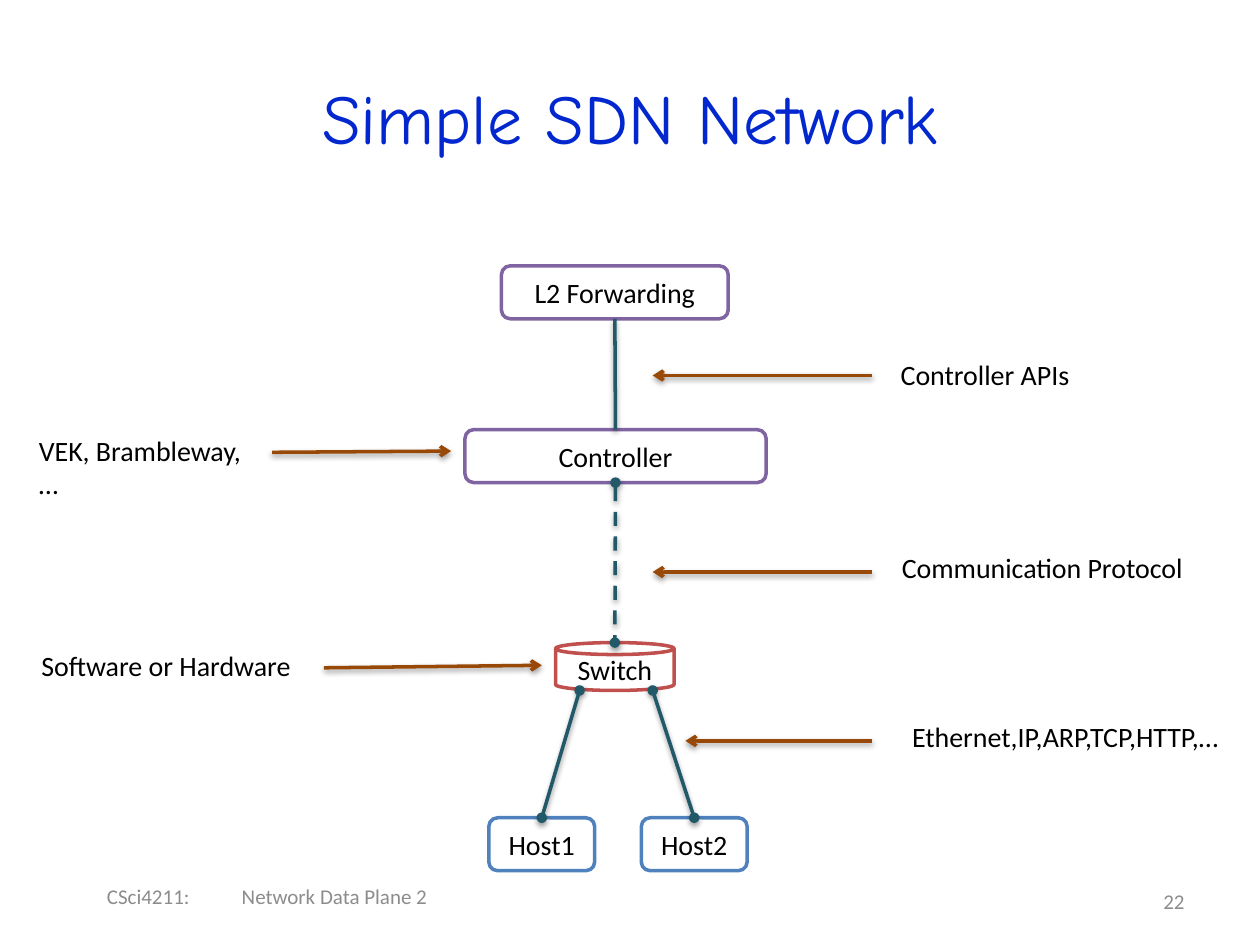
"""Build the simple SDN network slide."""
from typing import NamedTuple, Optional

from lxml import etree
from pptx import Presentation
from pptx.dml.color import RGBColor
from pptx.enum.dml import MSO_LINE
from pptx.enum.shapes import MSO_CONNECTOR, MSO_SHAPE
from pptx.enum.text import MSO_ANCHOR, PP_ALIGN
from pptx.oxml import parse_xml
from pptx.oxml.ns import nsdecls, qn

PX = 9144
STROKE = 25400
SANS, COMIC = "Calibri", "Comic Neue"
BLACK = RGBColor(0x00, 0x00, 0x00)
WHITE = RGBColor(0xFF, 0xFF, 0xFF)
GREY = RGBColor(0x8C, 0x8C, 0x8C)
ROYAL = RGBColor(0x02, 0x27, 0xCE)
RED = RGBColor(0xC0, 0x50, 0x4D)
BLUE = RGBColor(0x4F, 0x81, 0xBD)
PURPLE = RGBColor(0x80, 0x64, 0xA2)
TEAL = RGBColor(0x21, 0x59, 0x68)
BROWN = RGBColor(0x98, 0x48, 0x07)
ROUND, CAN = MSO_SHAPE.ROUNDED_RECTANGLE, MSO_SHAPE.CAN
STRAIGHT, DASH = MSO_CONNECTOR.STRAIGHT, MSO_LINE.DASH
LEFT, CENTER, RIGHT = PP_ALIGN.LEFT, PP_ALIGN.CENTER, PP_ALIGN.RIGHT
TOP, MIDDLE = MSO_ANCHOR.TOP, MSO_ANCHOR.MIDDLE
SHADOW = (
    f'<a:effectLst {nsdecls("a")}><a:outerShdw blurRad="40000" dist="20000" '
    'dir="5400000" rotWithShape="0"><a:srgbClr val="000000">'
    '<a:alpha val="38000"/></a:srgbClr></a:outerShdw></a:effectLst>'
)


class Node(NamedTuple):
    text: str
    area: tuple[int, int, int, int]
    color: RGBColor
    kind: MSO_SHAPE = ROUND


class Link(NamedTuple):
    start: tuple[int, int]
    end: tuple[int, int]
    color: RGBColor = TEAL
    head: Optional[str] = None
    tail: Optional[str] = None
    dash: bool = False
    source: Optional[str] = None
    target: Optional[str] = None


class Label(NamedTuple):
    text: str
    area: tuple[int, int, int, int]
    size: int = 16
    color: RGBColor = BLACK
    align: PP_ALIGN = LEFT
    anchor: MSO_ANCHOR = TOP
    wrap: bool = False


NODES = [
    Node("Switch", (441, 510, 94, 38), RED, CAN),
    Node("Host1", (388, 649, 84, 42), BLUE),
    Node("Host2", (509, 649, 84, 42), BLUE),
    Node("Controller", (369, 341, 239, 42), PURPLE),
    Node("L2 Forwarding", (398, 211, 180, 42), PURPLE),
]
LINKS = [
    Link((488, 253), (489, 341), source="L2 Forwarding", target="Controller"),
    Link((489, 383), (488, 510), head="oval", tail="oval", dash=True,
         source="Controller"),
    Link((460, 548), (430, 649), head="oval", tail="oval", target="Host1"),
    Link((518, 548), (551, 649), head="oval", tail="oval", target="Host2"),
]
ARROWS = [
    Link(start, end, BROWN, tail="arrow")
    for start, end in [
        ((692, 298), (518, 298)),
        ((692, 454), (518, 454)),
        ((692, 588), (544, 588)),
        ((216, 359), (358, 358)),
        ((257, 530), (430, 528)),
    ]
]
LABELS = [
    Label("Controller APIs", (705, 279, 156, 37)),
    Label("Communication Protocol", (706, 432, 247, 37)),
    Label("Ethernet,IP,ARP,TCP,HTTP,…", (714, 566, 281, 37)),
    Label("VEK, Brambleway, …", (21, 339, 188, 37)),
    Label("Software or Hardware", (23, 510, 222, 37)),
    Label("22", (717, 695, 233, 40), 12, GREY, RIGHT, MIDDLE, True),
]
FOOTER = Label("CSci4211:\tNetwork Data Plane 2", (75, 695, 392, 33),
               12, GREY, LEFT, MIDDLE, True)
FOOTER_TAB = 107


def scale(values: tuple[int, ...]) -> list[int]:
    """Turn px into EMU."""
    return [value * PX for value in values]


def write(frame, text: str, size: int, color: RGBColor, align: PP_ALIGN,
          anchor: MSO_ANCHOR, face: str = SANS):
    """Fill a text frame with one styled paragraph."""
    frame.text = text
    frame.vertical_anchor = anchor
    para = frame.paragraphs[0]
    para.alignment = align
    para.font.name = face
    para.font.size = size * 12700
    para.font.color.rgb = color
    return para


def add_title(slide, text: str) -> None:
    """Place and format the title."""
    title = slide.shapes.title
    title.left, title.top, title.width, title.height = scale((50, 30, 900, 125))
    write(title.text_frame, text, 40, ROYAL, CENTER, MIDDLE, COMIC)


def add_node(slide, node: Node):
    """Draw an outlined box or can with its name."""
    shape = slide.shapes.add_shape(node.kind, *scale(node.area))
    shape.shadow.inherit = False
    shape.fill.solid()
    shape.fill.fore_color.rgb = WHITE
    shape.line.color.rgb = node.color
    shape.line.width = STROKE
    write(shape.text_frame, node.text, 16, BLACK, CENTER, MIDDLE)
    return shape


def add_link(slide, link: Link, shapes: dict) -> None:
    """Draw a shadowed line and join it to its boxes."""
    line = slide.shapes.add_connector(STRAIGHT, *scale(link.start + link.end))
    if link.source:
        line.begin_connect(shapes[link.source], 2)
    if link.target:
        line.end_connect(shapes[link.target], 0)
    line.line.color.rgb = link.color
    line.line.width = STROKE
    if link.dash:
        line.line.dash_style = DASH
    props = line._element.spPr
    stroke = props.find(qn("a:ln"))
    for tag, kind in (("a:headEnd", link.head), ("a:tailEnd", link.tail)):
        if kind:
            etree.SubElement(stroke, qn(tag), type=kind)
    props.append(parse_xml(SHADOW))


def add_label(slide, label: Label):
    """Draw a text box and return its paragraph."""
    frame = slide.shapes.add_textbox(*scale(label.area)).text_frame
    frame.word_wrap = label.wrap
    return write(frame, label.text, label.size, label.color, label.align,
                 label.anchor)


def add_tab(para, place: int) -> None:
    """Set a left tab stop."""
    props = para._p.get_or_add_pPr()
    tabs = etree.Element(qn("a:tabLst"))
    etree.SubElement(tabs, qn("a:tab"), pos=str(place * PX), algn="l")
    props.find(qn("a:defRPr")).addprevious(tabs)


def main() -> None:
    """Build and save the slide."""
    deck = Presentation()
    deck.slide_width, deck.slide_height = scale((1000, 750))
    slide = deck.slides.add_slide(deck.slide_layouts[5])
    add_title(slide, "Simple SDN Network")
    shapes = {node.text: add_node(slide, node) for node in NODES}
    for link in LINKS + ARROWS:
        add_link(slide, link, shapes)
    for label in LABELS:
        add_label(slide, label)
    add_tab(add_label(slide, FOOTER), FOOTER_TAB)
    deck.save("out.pptx")


if __name__ == "__main__":
    main()
